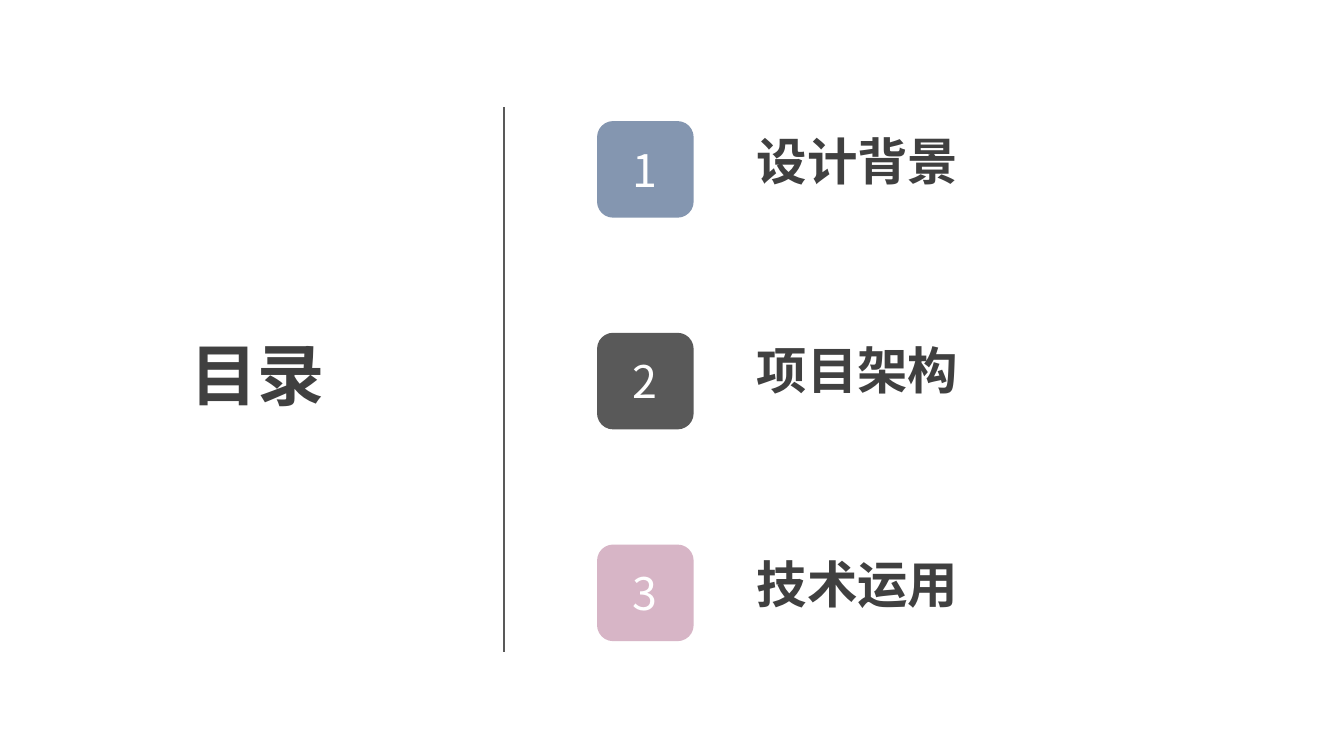
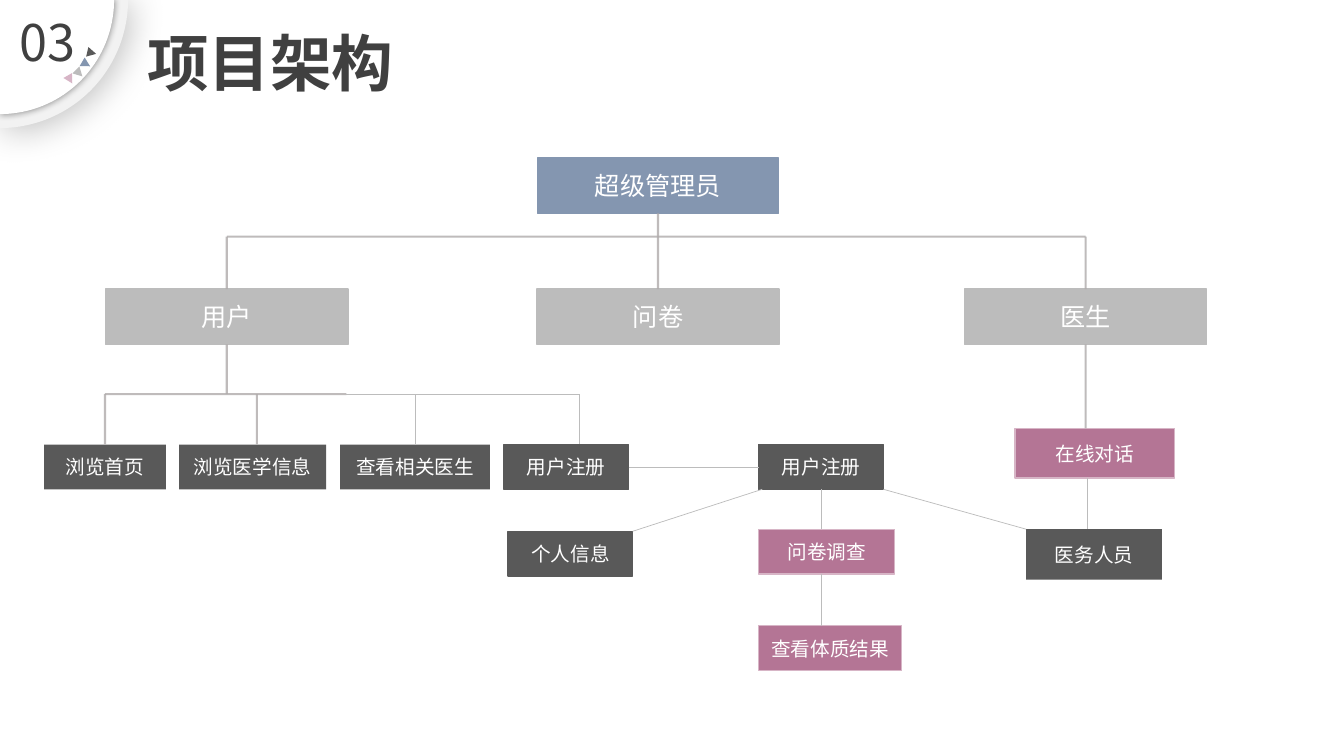
from math import cos, pi, sin

from lxml.etree import SubElement
from pptx import Presentation
from pptx.dml.color import RGBColor
from pptx.enum.shapes import MSO_CONNECTOR, MSO_SHAPE
from pptx.enum.text import MSO_ANCHOR, PP_ALIGN
from pptx.oxml.ns import qn
from pptx.util import Pt

FONT = "Noto Sans CJK SC"
WHITE = RGBColor(0xFF, 0xFF, 0xFF)
PALE = RGBColor(0xF2, 0xF2, 0xF2)
INK = RGBColor(0x40, 0x40, 0x40)
DARK = RGBColor(0x59, 0x59, 0x59)
BLUE = RGBColor(0x84, 0x96, 0xB0)
GREY = RGBColor(0xBC, 0xBC, 0xBC)
PINK = RGBColor(0xD7, 0xB5, 0xC6)
MAUVE = RGBColor(0xB4, 0x75, 0x95)
TREE_GREY = RGBColor(0xAF, 0xAB, 0xAB)

# Agenda: text, badge colour, top of the text
AGENDA = [("设计背景", BLUE, 87.5), ("项目架构", DARK, 236.5), ("技术运用", PINK, 390)]
BADGE_X, BADGE_Y, BADGE_STEP, BADGE_SIZE = 426.5, 86.5, 151.25, 69

# Corner triangles: left, top, rotation, colour
TRIANGLES = [
    (62, 34.5, 103, DARK),
    (58, 42.5, 120, BLUE),
    (53, 49, 135, GREY),
    (46.5, 53.5, 150, PINK),
]

# Node styles: fill, outline, text size
STYLES = {
    "root": (BLUE, BLUE, 18),
    "role": (GREY, GREY, 18),
    "page": (DARK, None, 14),
    "form": (DARK, DARK, 14),
    "action": (MAUVE, PINK, 14),
}
# Nodes: text, style, (left, top, width, height)
NODES = {
    "admin": ("超级管理员", "root", (384, 113, 172, 39.5)),
    "user": ("用户", "role", (75.5, 206.5, 173, 39.5)),
    "survey": ("问卷", "role", (383.5, 206.5, 173, 39.5)),
    "doctor": ("医生", "role", (689, 206.5, 173, 39.5)),
    "home": ("浏览首页", "page", (31.5, 317.5, 87, 32)),
    "articles": ("浏览医学信息", "page", (128, 317.5, 105, 32)),
    "doctors": ("查看相关医生", "page", (243, 317.5, 107, 32)),
    "register": ("用户注册", "form", (360, 317.5, 89, 32)),
    "account": ("用户注册", "form", (542, 317.5, 89, 32)),
    "profile": ("个人信息", "form", (363, 379.5, 89, 32)),
    "quiz": ("问卷调查", "action", (542, 378, 97, 32)),
    "result": ("查看体质结果", "action", (542, 447, 102, 32)),
    "chat": ("在线对话", "action", (725, 306, 114, 35.5)),
    "staff": ("医务人员", "page", (733, 378, 97, 36)),
}
BUS_1, BUS_2 = 169, 281.5
# Links: each end is a point or (node, side)
TOP, LEFT, BOTTOM, RIGHT = range(4)
THICK_LINKS = [
    (("admin", BOTTOM), ("survey", TOP)),
    ((162, BUS_1), (775.5, BUS_1)),
    ((162, BUS_1), ("user", TOP)),
    ((775.5, BUS_1), ("doctor", TOP)),
    (("user", BOTTOM), (162, BUS_2)),
    (("doctor", BOTTOM), (775.5, 306)),
    ((75, BUS_2), (247.5, BUS_2)),
    ((75, BUS_2), ("home", TOP)),
    ((183.5, BUS_2), (183.5, 317.5)),
]
THIN_LINKS = [
    ((247.5, BUS_2), (414, BUS_2)),
    ((296.5, BUS_2), ("doctors", TOP)),
    ((414, BUS_2), (414, 317.5)),
    (("register", RIGHT), ("account", LEFT)),
    ((544.5, 349.5), (452, 379.5)),
    (("account", BOTTOM), (586.5, 378)),
    ((631, 349.5), (733, 378)),
    ((586.5, 410), (586.5, 447)),
    ((777, 341.5), (777, 378)),
]


def write(sp, text, size, color, bold=False, align=PP_ALIGN.CENTER, left=0):
    tf = sp.text_frame
    tf.word_wrap = True
    tf.vertical_anchor = MSO_ANCHOR.MIDDLE
    tf.margin_left = Pt(left)
    tf.margin_right = tf.margin_top = tf.margin_bottom = 0
    p = tf.paragraphs[0]
    p.alignment = align
    r = p.add_run()
    r.text = text
    r.font.size, r.font.bold, r.font.name = Pt(size), bold, FONT
    r.font.color.rgb = color
    SubElement(r.font._element, qn("a:ea")).set("typeface", FONT)


def add_label(s, box, text, size, **style):
    write(s.shapes.add_textbox(*map(Pt, box)), text, size, INK, **style)


def paint(sp, fill, outline=None):
    sp.shadow.inherit = False
    sp.fill.solid()
    sp.fill.fore_color.rgb = fill
    if outline is None:
        sp.line.fill.background()
    else:
        sp.line.color.rgb = outline
        sp.line.width = Pt(1)


def add_box(s, kind, box, fill, outline=None):
    sp = s.shapes.add_shape(kind, *map(Pt, box))
    paint(sp, fill, outline)
    return sp


def set_alpha(color_element, percent):
    SubElement(color_element, qn("a:alpha")).set("val", str(percent * 1000))


def add_line(s, start, end, color, width, alpha=100, nodes=None):
    """Draw a line whose ends are points or (node, side) pairs."""
    ends = [(0, 0) if isinstance(e[0], str) else e for e in (start, end)]
    cx = s.shapes.add_connector(
        MSO_CONNECTOR.STRAIGHT, *(Pt(v) for point in ends for v in point))
    for e, connect in ((start, cx.begin_connect), (end, cx.end_connect)):
        if isinstance(e[0], str):
            connect(nodes[e[0]], e[1])
    cx.line.color.rgb = color
    cx.line.width = Pt(width)
    sp_pr = cx._element.spPr
    if alpha < 100:
        set_alpha(sp_pr.find(".//" + qn("a:srgbClr")), alpha)
    SubElement(sp_pr, qn("a:effectLst"))


def add_quarter_disc(s, radius, fill, alpha, blur, dist, angle):
    """Draw a shadowed quarter disc around the slide's top left corner."""
    steps = 40
    arc = [(Pt(radius * cos(pi / 2 * i / steps)), Pt(radius * sin(pi / 2 * i / steps)))
           for i in range(steps + 1)]
    builder = s.shapes.build_freeform(0, 0)
    builder.add_line_segments(arc, close=True)
    sp = builder.convert_to_shape()
    paint(sp, fill)
    shadow = SubElement(sp._element.spPr.find(qn("a:effectLst")), qn("a:outerShdw"))
    for name, value in (("blurRad", Pt(blur)), ("dist", Pt(dist)), ("dir", angle * 60000)):
        shadow.set(name, str(int(value)))
    shadow.set("algn", "tl")
    shadow.set("rotWithShape", "0")
    color = SubElement(shadow, qn("a:srgbClr"))
    color.set("val", "000000")
    set_alpha(color, alpha)


def add_header(s, number, title):
    add_quarter_disc(s, 91.5, PALE, 25, 26, 3, 45)
    add_quarter_disc(s, 81.5, WHITE, 40, 5, 0, 0)
    add_label(s, (3, 3, 62, 53), number, 36)
    for x, y, rotation, color in TRIANGLES:
        sp = add_box(s, MSO_SHAPE.ISOSCELES_TRIANGLE, (x, y, 7, 6.5), color)
        sp.rotation = rotation
    add_label(s, (98, 12.5, 445, 64), title, 44,
              bold=True, align=PP_ALIGN.LEFT, left=7.2)


def build_agenda(s):
    add_line(s, (360, 76.5), (360, 466), DARK, 1.25)
    add_label(s, (45.5, 232, 276.5, 70), "目录", 48, bold=True)
    for i, (text, color, y) in enumerate(AGENDA):
        box = (BADGE_X, BADGE_Y + i * BADGE_STEP, BADGE_SIZE, BADGE_SIZE)
        badge = add_box(s, MSO_SHAPE.ROUNDED_RECTANGLE, box, color)
        write(badge, str(i + 1), 32, WHITE)
        add_label(s, (533.5, y, 330, 54), text, 36,
                  bold=True, align=PP_ALIGN.LEFT, left=7.2)


def build_structure(s):
    add_header(s, "03", "项目架构")
    nodes = {}
    for key, (text, style, box) in NODES.items():
        fill, outline, size = STYLES[style]
        nodes[key] = add_box(s, MSO_SHAPE.RECTANGLE, box, fill, outline)
        write(nodes[key], text, size, WHITE)
    for start, end in THICK_LINKS:
        add_line(s, start, end, TREE_GREY, 1.5, 80, nodes)
    for start, end in THIN_LINKS:
        add_line(s, start, end, GREY, 0.5, nodes=nodes)


def main():
    prs = Presentation()
    prs.slide_width, prs.slide_height = Pt(960), Pt(540)
    for build in (build_agenda, build_structure):
        build(prs.slides.add_slide(prs.slide_layouts[6]))
    prs.save("out.pptx")


if __name__ == "__main__":
    main()
